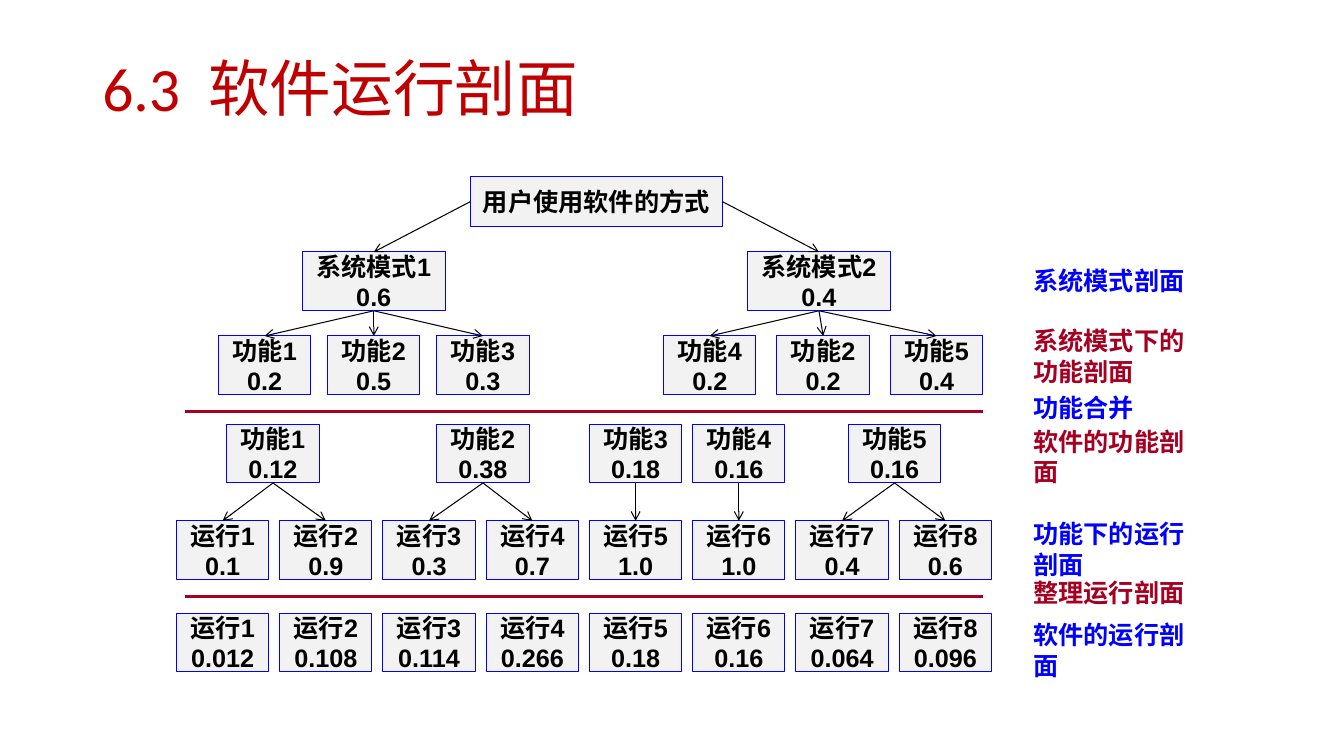
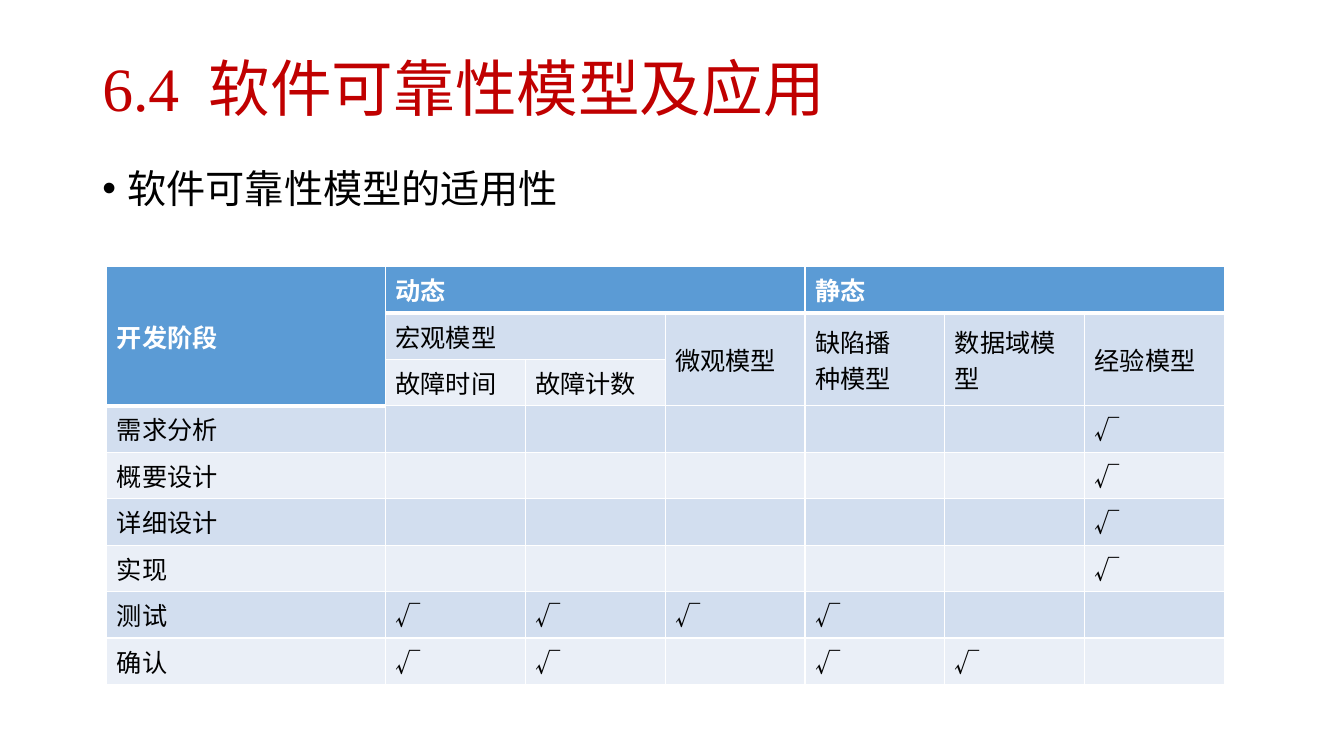
from dataclasses import dataclass
from typing import Optional

from lxml import etree
from pptx import Presentation
from pptx.dml.color import RGBColor
from pptx.enum import shapes, text
from pptx.oxml import ns
from pptx.util import Pt

RED, MAROON, BLUE = "C00000", "A50021", "0000FF"
BLACK, WHITE, BOX_GREY = "000000", "FFFFFF", "F2F2F2"
HEADER, BAND_DARK, BAND_LIGHT = "5B9BD5", "D2DEEF", "EAEFF7"
CJK = "Noto Sans CJK SC"
TOP, LEFT, BOTTOM, RIGHT = range(4)


@dataclass
class Style:
    size: float
    font: str
    colour: str = BLACK
    bold: bool = False
    east_asian: str = CJK


@dataclass
class Node:
    x: float
    y: float
    lines: str
    w: float = 66
    h: float = 42


@dataclass
class Label:
    y: float
    words: str


@dataclass
class Entry:
    row: int
    col: int
    words: str
    rows: int = 1
    cols: int = 1


BOX_STYLE = Style(18, "Arial", bold=True, east_asian="Calibri")

COLUMN = 73.75
RUN_X = [126 + COLUMN * i for i in range(8)]
ROOT = Node(336, 126, "用户使用软件的方式", 180, 36)
MODES = [Node(216, 180, "系统模式1\n0.6", 102), Node(534, 180, "系统模式2\n0.4", 102)]
MODE_FUNCTIONS = [
    [Node(156 + 78 * i, 240, s) for i, s in enumerate(["功能1\n0.2", "功能2\n0.5", "功能3\n0.3"])],
    [Node(474 + 81 * i, 240, s) for i, s in enumerate(["功能4\n0.2", "功能2\n0.2", "功能5\n0.4"])],
]
FUNCTIONS = [
    Node(x, 303, f"功能{i}\n{share}")
    for i, (x, share) in enumerate(
        zip([162, 312, RUN_X[4], RUN_X[5], 606], ["0.12", "0.38", "0.18", "0.16", "0.16"]), 1)
]
RUNS_OF_FUNCTION = [(0, 1), (2, 3), (4,), (5,), (6, 7)]
RUN_SHARES = ["0.1", "0.9", "0.3", "0.7", "1.0", "1.0", "0.4", "0.6"]
FINAL_SHARES = ["0.012", "0.108", "0.114", "0.266", "0.18", "0.16", "0.064", "0.096"]
LABELS = [
    Label(186, "系统模式剖面"), Label(229, "系统模式下的功能剖面"),
    Label(277, "功能合并"), Label(301, "软件的功能剖面"),
    Label(367, "功能下的运行剖面"), Label(409, "整理运行剖面"),
    Label(439, "软件的运行剖面"),
]

HEADINGS = [
    Entry(0, 0, "开发阶段", rows=3), Entry(0, 1, "动态", cols=3), Entry(0, 4, "静态", cols=3),
    Entry(1, 1, "宏观模型", cols=2), Entry(1, 3, "微观模型", rows=2),
    Entry(1, 4, "缺陷播\n种模型", rows=2), Entry(1, 5, "数据域模型", rows=2),
    Entry(1, 6, "经验模型", rows=2), Entry(2, 1, "故障时间"), Entry(2, 2, "故障计数"),
]
PHASES = [
    ("需求分析", (6,)), ("概要设计", (6,)), ("详细设计", (6,)), ("实现", (6,)),
    ("测试", (1, 2, 3, 4)), ("确认", (1, 2, 4, 5)),
]


def rgb(colour: str) -> RGBColor:
    return RGBColor.from_string(colour)


def sub(parent, tag: str, **attributes: str):
    return etree.SubElement(parent, ns.qn(tag), attributes)


def add_run(p, words: str, style: Style):
    r = p.add_run()
    r.text = words
    r.font.size = Pt(style.size)
    r.font.bold = style.bold
    r.font.color.rgb = rgb(style.colour)
    r.font.name = style.font
    sub(r._r.get_or_add_rPr(), "a:ea", typeface=style.east_asian)
    return r


def write_lines(tf, lines: str, style: Style, align=None) -> None:
    for i, line in enumerate(lines.split("\n")):
        p = tf.add_paragraph() if i else tf.paragraphs[0]
        p.alignment = align
        add_run(p, line, style)


def add_text_frame(s, x: float, y: float, w: float, h: float, anchor=text.MSO_ANCHOR.TOP):
    tf = s.shapes.add_textbox(Pt(x), Pt(y), Pt(w), Pt(h)).text_frame
    tf.word_wrap = True
    tf.vertical_anchor = anchor
    return tf


def add_title(s, number: str, words: str, font: str) -> None:
    tf = add_text_frame(s, 66, 28.75, 828, 73.5, text.MSO_ANCHOR.MIDDLE)
    p = tf.paragraphs[0]
    p.line_spacing = 0.9
    style = Style(44, font, RED)
    add_run(p, number, style)
    gap = add_run(p, " ", style)
    gap._r.get_or_add_rPr().set("spc", "1000")
    add_run(p, words, style)


def add_node(s, node: Node):
    sp = s.shapes.add_shape(shapes.MSO_SHAPE.RECTANGLE,
                            Pt(node.x), Pt(node.y), Pt(node.w), Pt(node.h))
    sp.shadow.inherit = False
    sp.fill.solid()
    sp.fill.fore_color.rgb = rgb(BOX_GREY)
    sp.line.color.rgb = rgb(BLUE)
    sp.line.width = Pt(0.75)
    tf = sp.text_frame
    tf.word_wrap = False
    tf.vertical_anchor = text.MSO_ANCHOR.MIDDLE
    write_lines(tf, node.lines, BOX_STYLE, text.PP_ALIGN.CENTER)
    return sp


def add_line(s, x1: float, y1: float, x2: float, y2: float, colour: str, width: float):
    cx = s.shapes.add_connector(shapes.MSO_CONNECTOR.STRAIGHT, Pt(x1), Pt(y1), Pt(x2), Pt(y2))
    cx.line.color.rgb = rgb(colour)
    cx.line.width = Pt(width)
    sub(cx._element.spPr, "a:effectLst")
    return cx


def add_arrow(s, parent, child, side: int = BOTTOM) -> None:
    """Join a side of the parent box to the top of the child box."""
    cx = add_line(s, 0, 0, 0, 0, BLACK, 0.75)
    cx.begin_connect(parent, side)
    cx.end_connect(child, TOP)
    sub(cx._element.spPr.find(ns.qn("a:ln")), "a:tailEnd", type="arrow")


def build_profile_slide(prs) -> None:
    s = prs.slides.add_slide(prs.slide_layouts[6])
    add_title(s, "6.3", "软件运行剖面", "Calibri")

    root = add_node(s, ROOT)
    for mode, functions, side in zip(MODES, MODE_FUNCTIONS, (LEFT, RIGHT)):
        mode_box = add_node(s, mode)
        add_arrow(s, root, mode_box, side)
        for function in functions:
            add_arrow(s, mode_box, add_node(s, function))

    run_boxes = []
    for i, x in enumerate(RUN_X):
        run_boxes.append(add_node(s, Node(x, 372, f"运行{i + 1}\n{RUN_SHARES[i]}")))
        add_node(s, Node(x, 438, f"运行{i + 1}\n{FINAL_SHARES[i]}"))
    for function, runs in zip(FUNCTIONS, RUNS_OF_FUNCTION):
        function_box = add_node(s, function)
        for i in runs:
            add_arrow(s, function_box, run_boxes[i])

    for y in (294, 426):
        add_line(s, 132, y, 702, y, MAROON, 2.5)
    for i, label in enumerate(LABELS):
        style = Style(18, "Arial", MAROON if i % 2 else BLUE, True, "Calibri")
        write_lines(add_text_frame(s, 731, label.y, 132, 29), label.words, style)


def is_header(row: int, col: int) -> bool:
    return row == 0 or (col == 0 and 0 < row < 3)


def format_cell(cell, row: int, col: int) -> None:
    """Give the cell white borders, heavier under the header, and its band colour."""
    header = is_header(row, col)
    under_header = row > 0 and not header and is_header(row - 1, col)
    widths = {"L": 1, "R": 1, "T": 3 if under_header else 1, "B": 3 if header else 1}
    tc_pr = cell._tc.get_or_add_tcPr()
    for side, width in widths.items():
        ln = sub(tc_pr, f"a:ln{side}", w=str(Pt(width)))
        sub(sub(ln, "a:solidFill"), "a:srgbClr", val=WHITE)
    cell.fill.solid()
    band = BAND_DARK if row % 2 else BAND_LIGHT
    cell.fill.fore_color.rgb = rgb(HEADER if header else band)
    cell.vertical_anchor = text.MSO_ANCHOR.MIDDLE


def add_model_table(s) -> None:
    n_rows, n_cols = 3 + len(PHASES), 7
    table = s.shapes.add_table(n_rows, n_cols, Pt(76.3), Pt(190.2), Pt(798.4), Pt(298.8)).table
    for i, column in enumerate(table.columns):
        column.width = Pt(99.9 if i else 199)
    for row in table.rows:
        row.height = Pt(33.2)
    for r in range(n_rows):
        for c in range(n_cols):
            format_cell(table.cell(r, c), r, c)

    for e in HEADINGS:
        cell = table.cell(e.row, e.col)
        if e.rows > 1 or e.cols > 1:
            cell.merge(table.cell(e.row + e.rows - 1, e.col + e.cols - 1))
        header = is_header(e.row, e.col)
        write_lines(cell.text_frame, e.words,
                    Style(18, "Calibri", WHITE if header else BLACK, header))
    for r, (phase, ticks) in enumerate(PHASES, 3):
        write_lines(table.cell(r, 0).text_frame, phase, Style(18, "Calibri"))
        for c in ticks:
            write_lines(table.cell(r, c).text_frame, "√", Style(18, CJK))


def add_bullet(s, words: str) -> None:
    p = add_text_frame(s, 66, 103.7, 828, 60).paragraphs[0]
    p.line_spacing = 1.3
    p_pr = p._p.get_or_add_pPr()
    p_pr.set("marL", str(Pt(18)))
    p_pr.set("indent", str(-Pt(18)))
    sub(p_pr, "a:buFont", typeface="Arial")
    sub(p_pr, "a:buChar", char="•")
    add_run(p, words, Style(28, "Calibri", east_asian="Calibri"))


def build_model_slide(prs) -> None:
    s = prs.slides.add_slide(prs.slide_layouts[6])
    add_title(s, "6.4", "软件可靠性模型及应用", "Times New Roman")
    add_bullet(s, "软件可靠性模型的适用性")
    add_model_table(s)


def main() -> None:
    prs = Presentation()
    prs.slide_width, prs.slide_height = Pt(960), Pt(540)
    build_profile_slide(prs)
    build_model_slide(prs)
    prs.save("out.pptx")


if __name__ == "__main__":
    main()
